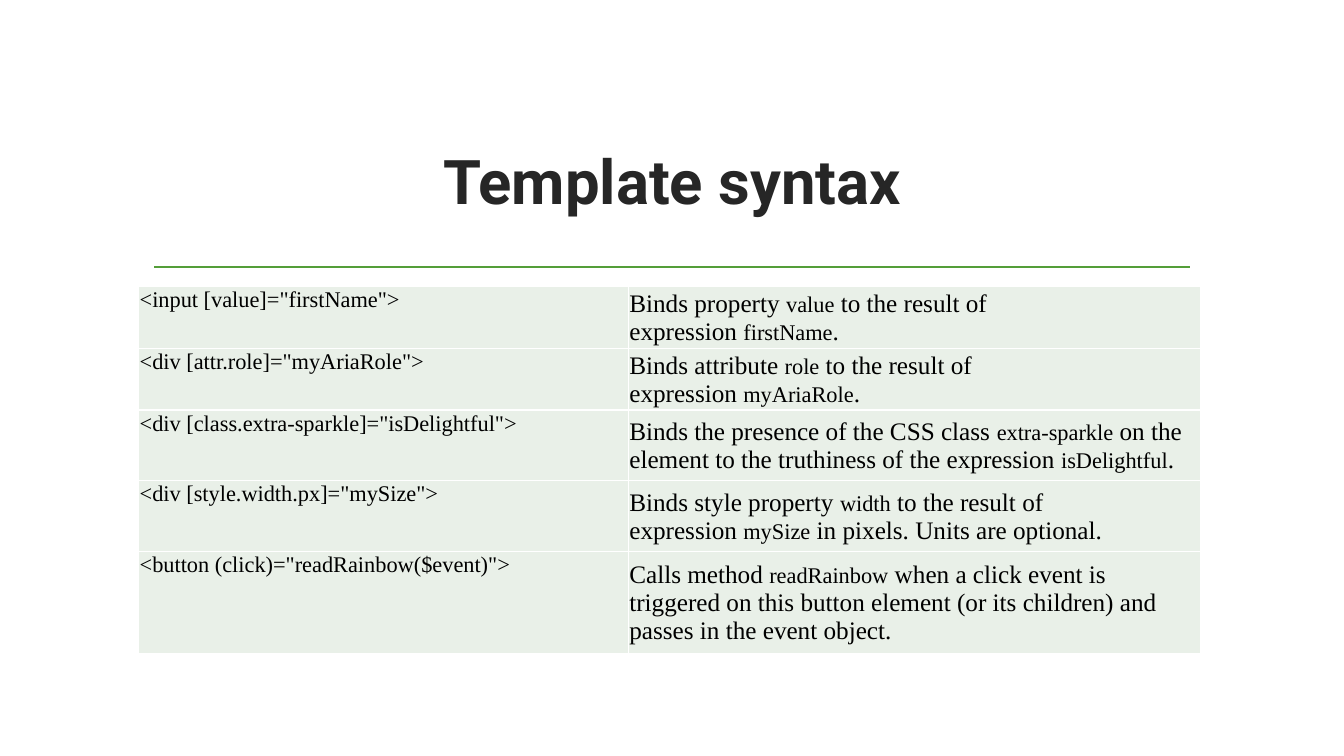
from dataclasses import dataclass

from lxml.etree import SubElement
from pptx import Presentation
from pptx.dml.color import RGBColor as Rgb
from pptx.enum.shapes import MSO_CONNECTOR as Connector
from pptx.enum.text import MSO_ANCHOR as Anchor, PP_ALIGN as Align
from pptx.oxml.ns import qn
from pptx.util import Cm, Pt


@dataclass(frozen=True)
class Theme:
    heading_font: str = "Roboto"
    body_font: str = "Times New Roman"
    heading_size: int = 44
    prose_size: int = 18
    code_size: int = 16
    heading: str = "262626"
    text: str = "000000"
    rule: str = "549E39"
    cell: str = "E9F0E8"
    border: str = "FFFFFF"


THEME = Theme()
NBSP = chr(160)

# Backticks enclose code; code is tied to its neighbours by no-break spaces.
BINDINGS = [
    ('<input [value]="firstName">',
     "Binds property `value` to the result of expression `firstName`."),
    ('<div [attr.role]="myAriaRole">',
     "Binds attribute `role` to the result of expression `myAriaRole`."),
    ('<div [class.extra-sparkle]="isDelightful">',
     "Binds the presence of the CSS class `extra-sparkle` on the element "
     "to the truthiness of the expression `isDelightful`."),
    ('<div [style.width.px]="mySize">',
     "Binds style property `width` to the result of expression `mySize` "
     "in pixels. Units are optional."),
    ('<button (click)="readRainbow($event)">',
     "Calls method `readRainbow` when a click event is triggered on this "
     "button element (or its children) and passes in the event object."),
]
COLUMN_WIDTHS = [12.34, 14.43]
ROW_HEIGHTS = [1.24, 1.24, 1.78, 1.78, 2.57]


def add_run(paragraph, text, font, size, color, bold=False):
    run = paragraph.add_run()
    run.text = text
    for name, value in {"name": font, "size": Pt(size), "bold": bold}.items():
        setattr(run.font, name, value)
    run.font.color.rgb = Rgb.from_string(color)


def add_heading(slide, text, left, top, width, height):
    """Centred title with a rule below it."""
    heading = slide.shapes.add_textbox(Cm(left), Cm(top), Cm(width), Cm(height))
    frame = heading.text_frame
    frame.word_wrap = True
    frame.vertical_anchor = Anchor.MIDDLE
    frame.paragraphs[0].alignment = Align.CENTER
    add_run(frame.paragraphs[0], text, THEME.heading_font,
            THEME.heading_size, THEME.heading, bold=True)

    inset, rule_top = 0.28, top + height + 0.38
    rule = slide.shapes.add_connector(
        Connector.STRAIGHT, Cm(left + inset), Cm(rule_top),
        Cm(left + width - inset), Cm(rule_top))
    rule.line.color.rgb = Rgb.from_string(THEME.rule)
    rule.line.width = Pt(1.25)
    SubElement(rule._element.spPr, qn("a:effectLst"))


def style_cell(cell, anchor):
    properties = cell._tc.get_or_add_tcPr()
    for side in ("a:lnL", "a:lnR", "a:lnT", "a:lnB"):
        border = SubElement(properties, qn(side), w=str(Pt(1)))
        fill = SubElement(border, qn("a:solidFill"))
        SubElement(fill, qn("a:srgbClr"), val=THEME.border)
    cell.fill.solid()
    cell.fill.fore_color.rgb = Rgb.from_string(THEME.cell)
    layout = {"margin_left": Cm(0.03), "margin_right": Cm(0.03),
              "margin_top": Cm(0.03), "margin_bottom": 0,
              "vertical_anchor": anchor}
    for name, value in layout.items():
        setattr(cell, name, value)


def write_description(paragraph, description):
    """Write prose, with the parts in backticks in the code size."""
    tied = description.replace(" `", NBSP + "`").replace("` ", "`" + NBSP)
    for index, part in enumerate(tied.split("`")):
        size = THEME.code_size if index % 2 else THEME.prose_size
        add_run(paragraph, part, THEME.body_font, size, THEME.text)


def add_binding_table(slide, left, top, width, height):
    table = slide.shapes.add_table(
        len(BINDINGS), len(COLUMN_WIDTHS),
        Cm(left), Cm(top), Cm(width), Cm(height)).table
    table.first_row = table.horz_banding = False
    for column, share in zip(table.columns, COLUMN_WIDTHS):
        column.width = Cm(width * share / sum(COLUMN_WIDTHS))
    for row, share, (code, description) in zip(table.rows, ROW_HEIGHTS, BINDINGS):
        row.height = Cm(height * share / sum(ROW_HEIGHTS))
        syntax, meaning = row.cells
        style_cell(syntax, Anchor.TOP)
        style_cell(meaning, Anchor.MIDDLE)
        add_run(syntax.text_frame.paragraphs[0], code, THEME.body_font,
                THEME.code_size, THEME.text)
        write_description(meaning.text_frame.paragraphs[0], description)


def main():
    deck = Presentation()
    deck.slide_width, deck.slide_height = Cm(33.87), Cm(19.05)
    slide = deck.slides.add_slide(deck.slide_layouts[6])
    add_heading(slide, "Template syntax", 3.61, 2.72, 26.67, 3.63)
    add_binding_table(slide, 3.49, 7.22, sum(COLUMN_WIDTHS), sum(ROW_HEIGHTS))
    deck.save("out.pptx")


if __name__ == "__main__":
    main()
